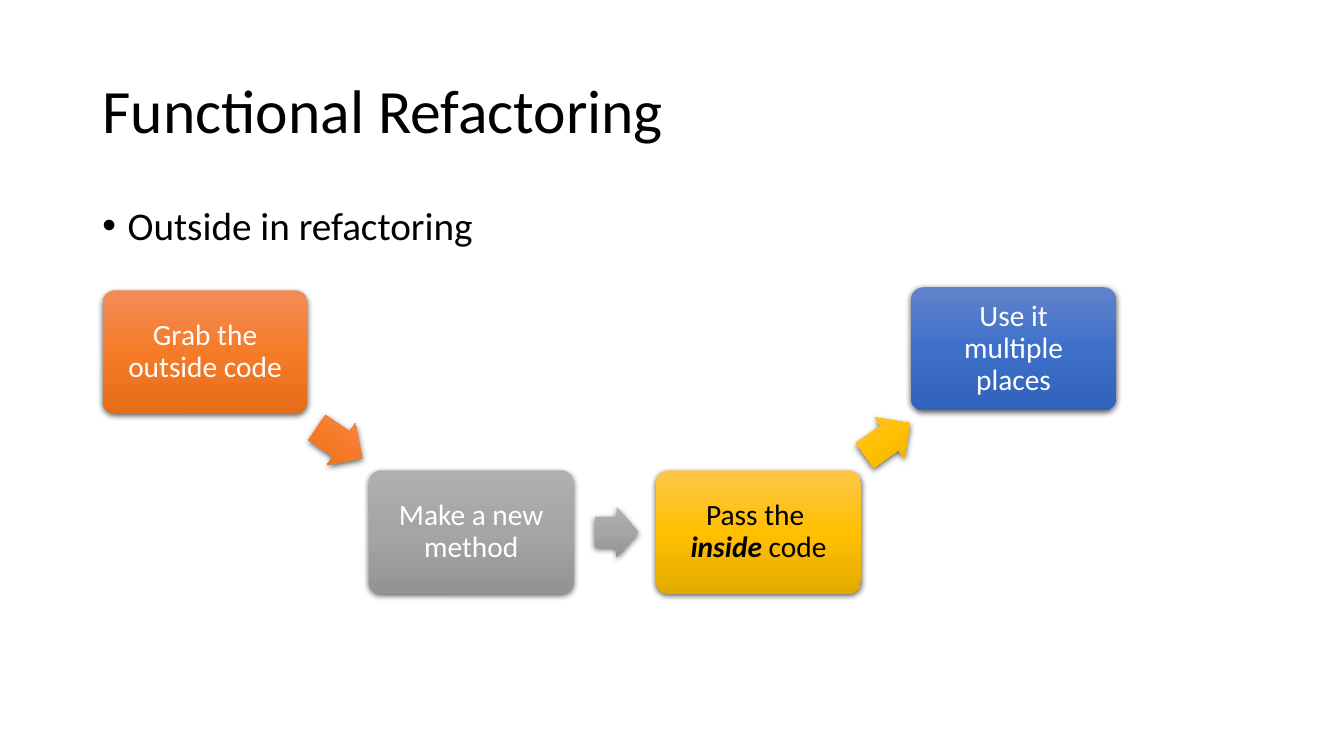
import math

import pptx
import pptx.dml.color
import pptx.enum.shapes
import pptx.enum.text
import pptx.util
from lxml import etree
from pptx.oxml.ns import qn

Pt = pptx.util.Pt
RGBColor = pptx.dml.color.RGBColor
MSO_SHAPE = pptx.enum.shapes.MSO_SHAPE
PP_ALIGN = pptx.enum.text.PP_ALIGN
MSO_ANCHOR = pptx.enum.text.MSO_ANCHOR

# Content
TITLE = "Functional Refactoring"
BULLET = "Outside in refactoring"
# Each step: lines of (text, emphasised) runs, left, top, colour, length of the arrow to the next step
STEPS = [
    ([[("Grab the outside code", False)]], 73.4, 207.4, "orange", 38.9),
    ([[("Make a new method", False)]], 263.5, 336, "gray", 31),
    ([[("Pass the ", False)], [("inside", True), (" code", False)]], 468.7, 336, "gold", 39.6),
    ([[("Use it multiple places", False)]], 650.9, 205.2, "blue", None),
]

# Theme: gradients run from top to bottom, followed by the text colour
THEME = {
    "font": "Calibri",
    "text": "000000",
    "shadow": "000000",
    "title_size": 44,
    "body_size": 28,
    "step_size": 21,
    "orange": (("F18C57", "F67B28", "E56C19"), "FFFFFF"),
    "gray": (("AFAFAF", "A5A5A5", "939393"), "FFFFFF"),
    "gold": (("FFC64B", "FFC000", "E3AB00"), "000000"),
    "blue": (("6183CB", "3E70CA", "3062BB"), "FFFFFF"),
}
BOX_WIDTH, BOX_HEIGHT = 146.2, 88
ARROW_HEIGHT = 36
ARROW_NUDGE = 1.25  # arrows sit slightly past the midpoint between steps


def set_font(paragraph, size, color):
    paragraph.line_spacing = 0.9
    paragraph.font.name = THEME["font"]
    paragraph.font.size = Pt(size)
    paragraph.font.color.rgb = RGBColor.from_string(color)


def fill_placeholder(placeholder, box, text, size, anchor):
    placeholder.left, placeholder.top, placeholder.width, placeholder.height = map(Pt, box)
    frame = placeholder.text_frame
    frame.text = text
    frame.word_wrap = True
    frame.auto_size = pptx.enum.text.MSO_AUTO_SIZE.NONE
    frame.vertical_anchor = anchor
    paragraph = frame.paragraphs[0]
    paragraph.alignment = PP_ALIGN.LEFT
    paragraph.space_before = Pt(0)
    return paragraph


def add_glossy_shape(slide, kind, box, colors):
    shape = slide.shapes.add_shape(kind, *map(Pt, box))
    shape.line.fill.background()
    shape.fill.gradient()
    shape.fill.gradient_angle = 270

    # Three gradient stops
    properties = shape.element.spPr
    stops = properties.find(".//" + qn("a:gsLst"))
    for stop in list(stops):
        stops.remove(stop)
    for position, color in zip((0, 50000, 100000), colors):
        stop = etree.SubElement(stops, qn("a:gs"), pos=str(position))
        etree.SubElement(stop, qn("a:srgbClr"), val=color)

    # Soft shadow below
    shape.shadow.inherit = False
    effects = properties.find(qn("a:effectLst"))
    shadow = etree.SubElement(effects, qn("a:outerShdw"), blurRad=str(Pt(4.5)),
                              dist=str(Pt(1.5)), dir="5400000", algn="ctr", rotWithShape="0")
    color = etree.SubElement(shadow, qn("a:srgbClr"), val=THEME["shadow"])
    etree.SubElement(color, qn("a:alpha"), val="63000")
    return shape


def add_step(slide, lines, left, top, color_name):
    colors, text_color = THEME[color_name]
    shape = add_glossy_shape(slide, MSO_SHAPE.ROUNDED_RECTANGLE,
                             (left, top, BOX_WIDTH, BOX_HEIGHT), colors)
    shape.adjustments[0] = 0.1
    frame = shape.text_frame
    frame.word_wrap = True
    frame.vertical_anchor = MSO_ANCHOR.MIDDLE
    frame.margin_left = frame.margin_right = Pt(9)
    frame.margin_top = frame.margin_bottom = Pt(9)
    paragraph = frame.paragraphs[0]
    paragraph.alignment = PP_ALIGN.CENTER
    set_font(paragraph, THEME["step_size"], text_color)
    for index, line in enumerate(lines):
        if index:
            paragraph.add_line_break()
        for text, emphasised in line:
            run = paragraph.add_run()
            run.text = text
            if emphasised:
                run.font.bold = run.font.italic = True


def add_arrow(slide, start, end, length, color_name):
    across, down = end[0] - start[0], end[1] - start[1]
    angle = math.atan2(down, across)
    center_x = start[0] + across / 2 + ARROW_NUDGE * math.cos(angle)
    center_y = start[1] + down / 2 + ARROW_NUDGE * math.sin(angle)
    box = (center_x - length / 2, center_y - ARROW_HEIGHT / 2, length, ARROW_HEIGHT)
    arrow = add_glossy_shape(slide, MSO_SHAPE.RIGHT_ARROW, box, THEME[color_name][0])
    arrow.adjustments[0] = 0.6
    arrow.adjustments[1] = 0.5
    arrow.rotation = math.degrees(angle) % 360


def main():
    presentation = pptx.Presentation()
    presentation.slide_width, presentation.slide_height = Pt(960), Pt(540)
    slide = presentation.slides.add_slide(presentation.slide_layouts[1])

    # Title and bullet
    title = fill_placeholder(slide.shapes.title, (66, 28.8, 828, 104.4), TITLE,
                             THEME["title_size"], MSO_ANCHOR.MIDDLE)
    set_font(title, THEME["title_size"], THEME["text"])
    bullet = fill_placeholder(slide.placeholders[1], (66, 143.8, 828, 342.6), BULLET,
                              THEME["body_size"], MSO_ANCHOR.TOP)
    properties = bullet._p.get_or_add_pPr()
    properties.set("marL", str(Pt(18)))
    properties.set("indent", str(-Pt(18)))
    etree.SubElement(properties, qn("a:buFont"), typeface="Arial")
    etree.SubElement(properties, qn("a:buChar"), char="•")
    set_font(bullet, THEME["body_size"], THEME["text"])

    # Steps, each followed by an arrow aimed at the next one
    centers = [(left + BOX_WIDTH / 2, top + BOX_HEIGHT / 2) for _, left, top, _, _ in STEPS]
    for index, (lines, left, top, color_name, arrow_length) in enumerate(STEPS):
        add_step(slide, lines, left, top, color_name)
        if arrow_length:
            add_arrow(slide, centers[index], centers[index + 1], arrow_length, color_name)

    presentation.save("out.pptx")


if __name__ == "__main__":
    main()
